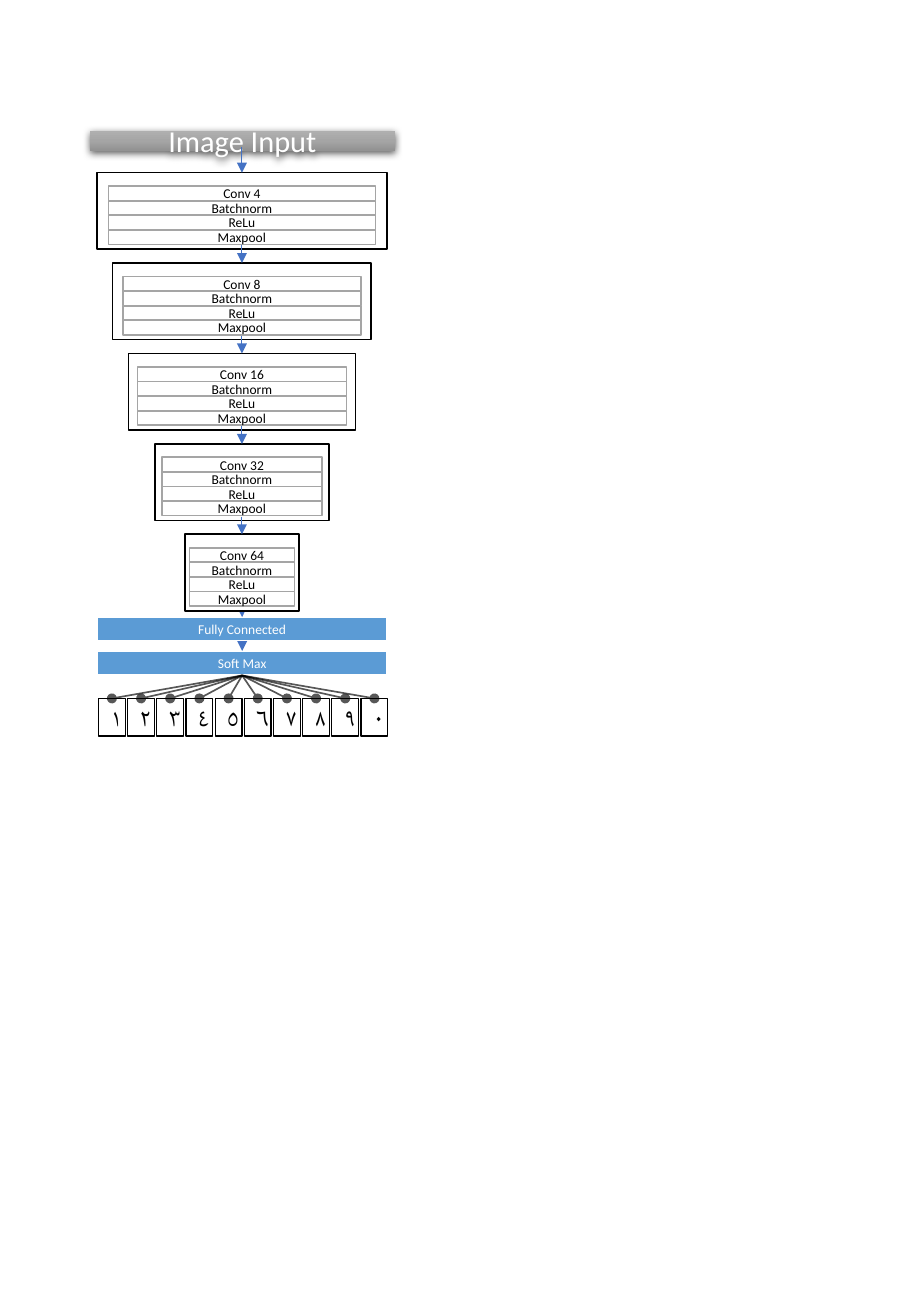
from dataclasses import dataclass

import pptx
import pptx.dml.color
import pptx.enum.shapes
import pptx.enum.text
import pptx.oxml
import pptx.oxml.ns
import pptx.util
from lxml import etree

Cm, Pt = pptx.util.Cm, pptx.util.Pt
qn = pptx.oxml.ns.qn


@dataclass(frozen=True)
class Theme:
    font: str = "Calibri"
    black: str = "000000"
    white: str = "FFFFFF"
    grey: str = "A5A5A5"
    bar_top: str = "AFAFAF"
    bar_bottom: str = "939393"
    layer: str = "5B9BD5"
    arrow: str = "4472C4"
    small: int = 8
    digit: int = 14
    heading: int = 18


@dataclass(frozen=True)
class Box:
    """A rectangle in centimetres."""
    x: float
    y: float
    w: float
    h: float

    @property
    def mid(self):
        return self.x + self.w / 2

    @property
    def bottom(self):
        return self.y + self.h


T = Theme()


def rgb(value):
    return pptx.dml.color.RGBColor.from_string(value)


def add_text(sp, text, size=T.small, color=T.black):
    tf = sp.text_frame
    tf.word_wrap = True
    tf.vertical_anchor = pptx.enum.text.MSO_ANCHOR.MIDDLE
    p = tf.paragraphs[0]
    p.alignment = pptx.enum.text.PP_ALIGN.CENTER
    r = p.add_run()
    r.text = text
    r.font.name, r.font.size = T.font, Pt(size)
    r.font.color.rgb = rgb(color)


def add_rect(s, box, fill=None, line=None, width=1):
    sp = s.shapes.add_shape(pptx.enum.shapes.MSO_SHAPE.RECTANGLE,
                            Cm(box.x), Cm(box.y), Cm(box.w), Cm(box.h))
    sp.shadow.inherit = False
    if fill:
        sp.fill.solid()
        sp.fill.fore_color.rgb = rgb(fill)
    else:
        sp.fill.background()
    if line:
        sp.line.color.rgb = rgb(line)
        sp.line.width = Pt(width)
    else:
        sp.line.fill.background()
    return sp


def add_line(s, start, end, color=T.arrow, width=0.5, tip="triangle", alpha=100):
    cx = s.shapes.add_connector(pptx.enum.shapes.MSO_CONNECTOR.STRAIGHT,
                                *(Cm(v) for v in (*start, *end)))
    cx.line.color.rgb = rgb(color)
    cx.line.width = Pt(width)
    spPr = cx._element.spPr
    ln = spPr.find(qn("a:ln"))
    if alpha < 100:
        clr = ln.find(".//" + qn("a:srgbClr"))
        etree.SubElement(clr, qn("a:alpha"), val=str(alpha * 1000))
    etree.SubElement(ln, qn("a:tailEnd"), type=tip)
    etree.SubElement(spPr, qn("a:effectLst"))


def input_bar(s, box, text):
    sp = add_rect(s, box)
    # Vertical gradient
    sp.fill.gradient()
    sp.fill.gradient_angle = 270
    stops = sp._element.spPr.find(".//" + qn("a:gsLst"))
    for gs in list(stops):
        stops.remove(gs)
    for pos, color in ((0, T.bar_top), (50, T.grey), (100, T.bar_bottom)):
        gs = etree.SubElement(stops, qn("a:gs"), pos=str(pos * 1000))
        etree.SubElement(gs, qn("a:srgbClr"), val=color)
    # Soft shadow below
    effects = sp._element.spPr.find(qn("a:effectLst"))
    shadow = etree.SubElement(effects, qn("a:outerShdw"), blurRad=str(Pt(4.5)),
                              dist=str(Pt(1.5)), dir="5400000", rotWithShape="0")
    clr = etree.SubElement(shadow, qn("a:srgbClr"), val=T.black)
    etree.SubElement(clr, qn("a:alpha"), val="63000")
    add_text(sp, text, size=T.heading, color=T.white)


def conv_block(s, box, filters):
    add_rect(s, box, T.white, T.black)
    row_w, row_h, pad = box.w * 0.92, 0.305, 0.28
    for i, name in enumerate((f"Conv {filters}", "Batchnorm", "ReLu", "Maxpool")):
        row = Box(box.mid - row_w / 2, box.y + pad + i * row_h, row_w, row_h)
        add_text(add_rect(s, row, T.white, T.grey), name)


def dense_layer(s, box, text):
    add_text(add_rect(s, box, T.layer, T.white, 1.5), text, color=T.white)


def output_row(s, box, digits, source):
    gap = 0.05
    w = (box.w - gap * (len(digits) - 1)) / len(digits)
    cells = [Box(box.x + i * (w + gap), box.y, w, box.h) for i in range(len(digits))]
    for cell, digit in zip(cells, digits):
        add_text(add_rect(s, cell, line=T.black, width=0.75), digit, size=T.digit)
    for cell in cells:
        add_line(s, source, (cell.mid, cell.y), T.black, 1, "oval", 66)


prs = pptx.Presentation()
prs.slide_width, prs.slide_height = Cm(19.05), Cm(27.51)
s = prs.slides.add_slide(prs.slide_layouts[6])

# Shared axis and boxes
axis = 5.06
bar = Box(1.88, 2.74, 6.38, 0.41)
dense = [Box(2.03, y, 6.07, 0.51) for y in (12.9, 13.61)]
widths = {4: 6.07, 8: 5.41, 16: 4.75, 32: 3.63, 64: 2.39}
blocks = [Box(axis - w / 2, 3.61 + 1.89 * i, w, 1.6)
          for i, w in enumerate(widths.values())]

# Input, dense layers and class outputs
input_bar(s, bar, "Image Input")
for box, name in zip(dense, ("Fully Connected", "Soft Max")):
    dense_layer(s, box, name)
output_row(s, Box(2.06, 14.6, 6.05, 0.79), "١٢٣٤٥٦٧٨٩٠",
           (dense[1].mid, dense[1].bottom))
add_line(s, (axis, blocks[-1].bottom - 0.08), (dense[0].mid, dense[0].y))
add_line(s, (dense[0].mid, dense[0].bottom), (dense[1].mid, dense[1].y))

# Convolution blocks and the arrows that lead into them
for box, filters in zip(blocks, widths):
    conv_block(s, box, filters)
for above, below in zip([bar] + blocks, blocks):
    add_line(s, (axis, above.bottom - 0.08), (axis, below.y))

prs.save("out.pptx")
